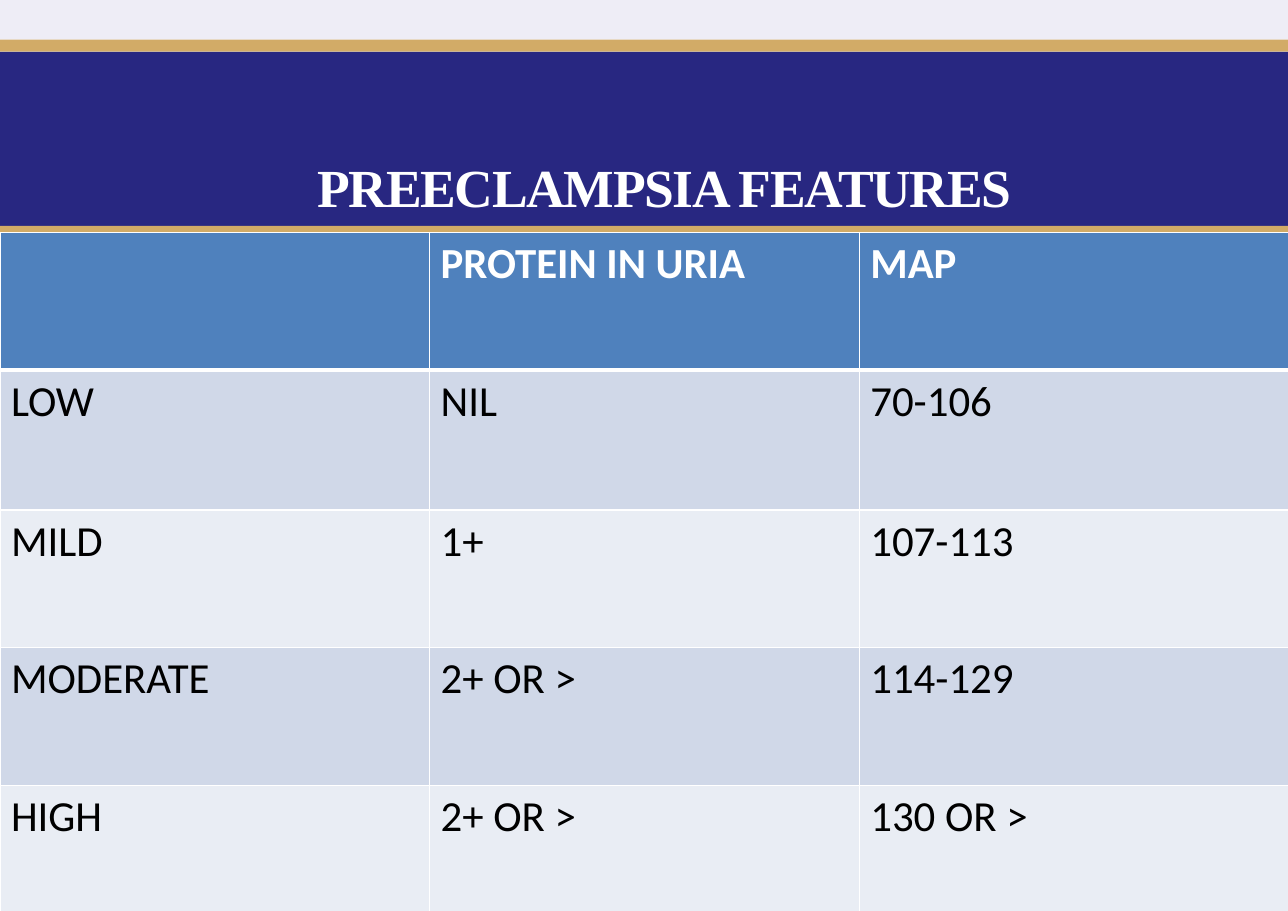
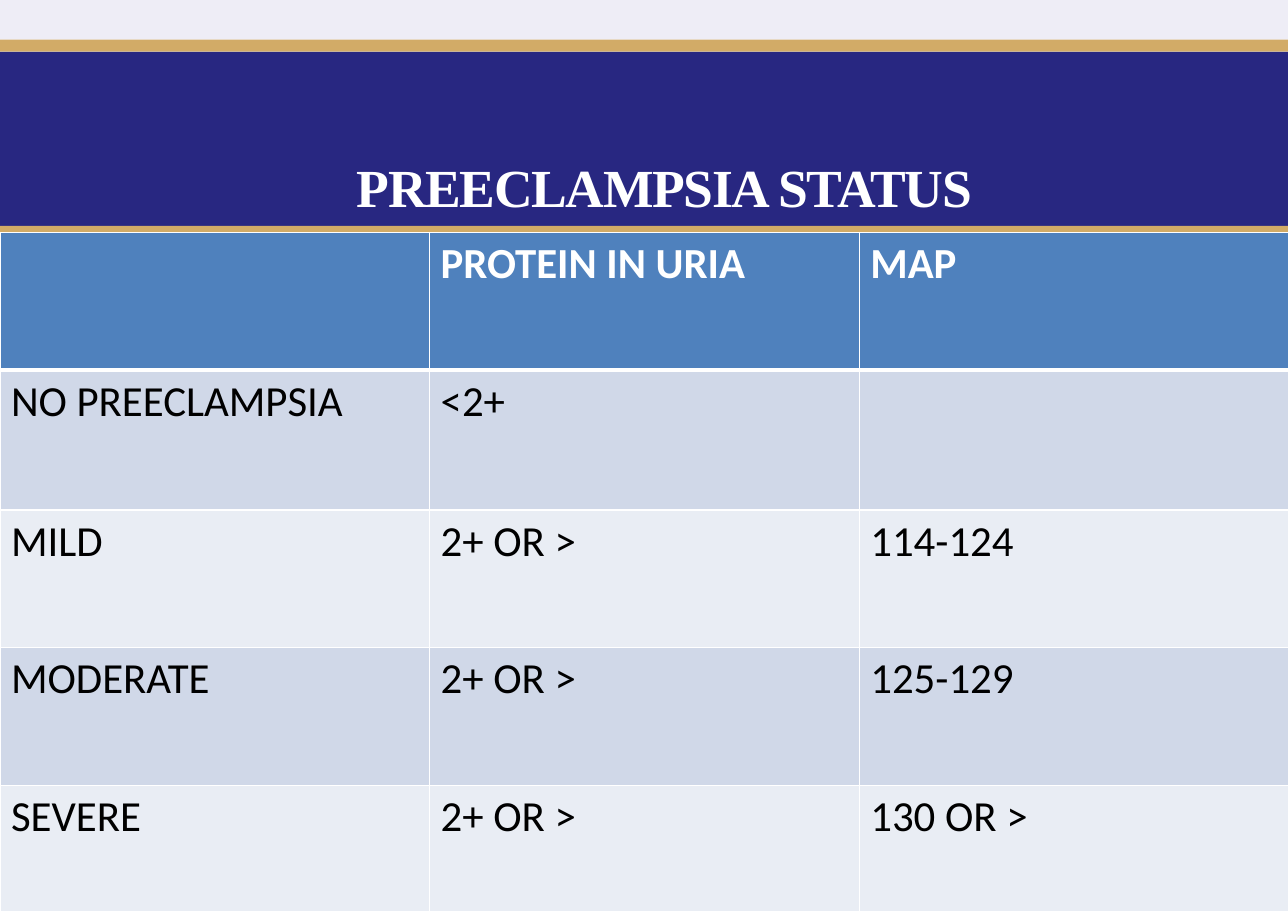
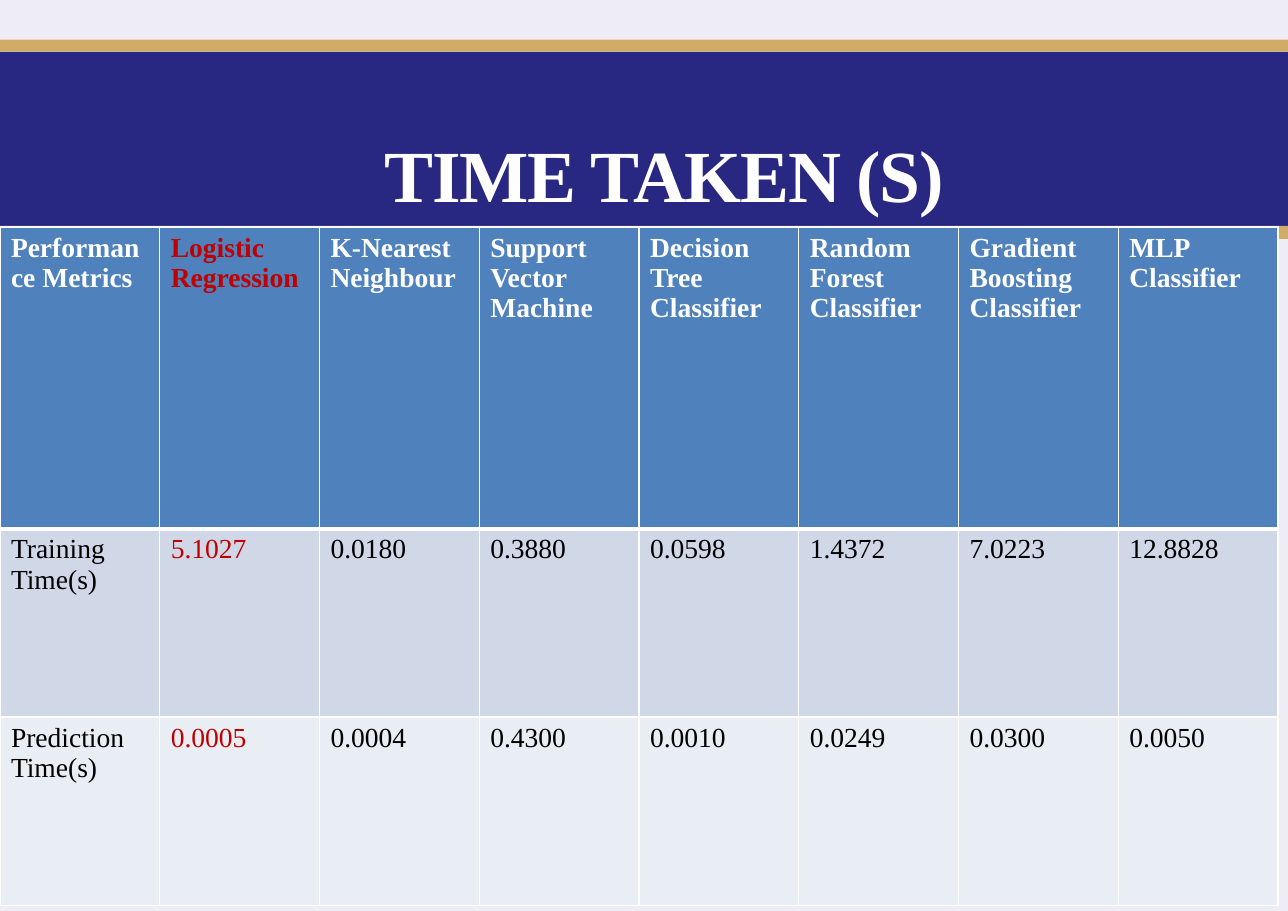
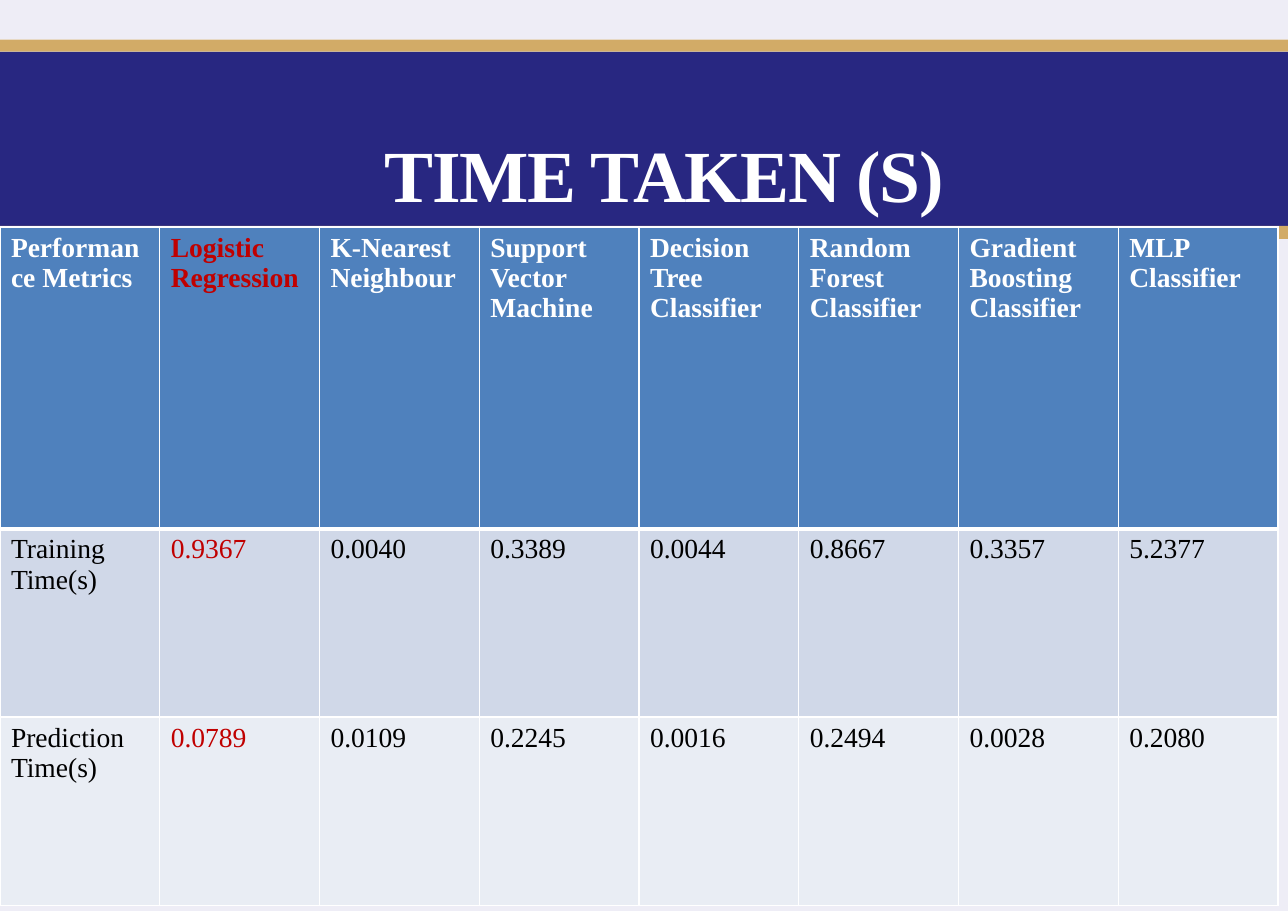
from dataclasses import dataclass
from itertools import accumulate

from lxml.etree import SubElement
from pptx import Presentation
from pptx.dml.color import RGBColor
from pptx.enum.shapes import MSO_SHAPE
from pptx.enum.text import MSO_ANCHOR, MSO_AUTO_SIZE, PP_ALIGN
from pptx.oxml.ns import qn
from pptx.util import Inches, Pt

WIDTH, HEIGHT = 11.69, 8.27


@dataclass(frozen=True)
class Theme:
    pale: str = "EEEDF6"
    gold: str = "D2AB67"
    navy: str = "282781"
    white: str = "FFFFFF"
    black: str = "000000"
    red: str = "C00000"
    header: str = "4F81BD"
    stripes: tuple = ("D0D8E8", "E9EDF4")
    title_font: str = "Times New Roman"
    title_spacing: float = -0.9
    rule: float = 1
    header_rule: float = 3


THEME = Theme()

# Band colour and lower edge, from the top of the slide down
BANDS = [
    (THEME.pale, 0.36),
    (THEME.gold, 0.47),
    (THEME.navy, 2.05),
    (THEME.gold, 2.17),
    (THEME.pale, HEIGHT),
]

# The two kinds of slide: title, table grid and type
CLINICAL = dict(
    title_top=1.38, title_height=0.6, title_size=35,
    table_top=2.11, column=3.9, rows=[1.25, 1.27, 1.25, 1.25, 1.25],
    font="Calibri", size=28, marked_column=None,
)
TIMING = dict(
    title_top=1.15, title_height=0.82, title_size=48,
    table_top=2.06, column=1.45, rows=[2.74, 1.71, 1.71],
    font="Times New Roman", size=18, marked_column=1,
)

# Content
SIGNS = ["", "PROTEIN IN URIA", "MAP"]
MODELS = [
    "Performance Metrics", "Logistic Regression", "K-Nearest Neighbour",
    "Support Vector Machine", "Decision Tree Classifier",
    "Random Forest Classifier", "Gradient Boosting Classifier",
    "MLP Classifier",
]
SLIDES = [
    ("PREECLAMPSIA FEATURES", CLINICAL, [
        SIGNS,
        ["LOW", "NIL", "70-106"],
        ["MILD", "1+", "107-113"],
        ["MODERATE", "2+ OR >", "114-129"],
        ["HIGH", "2+ OR >", "130 OR >"],
    ]),
    ("PREECLAMPSIA STATUS", CLINICAL, [
        SIGNS,
        ["NO PREECLAMPSIA", "<2+", ""],
        ["MILD", "2+ OR >", "114-124"],
        ["MODERATE", "2+ OR >", "125-129"],
        ["SEVERE", "2+ OR >", "130 OR >"],
    ]),
    ("TIME TAKEN (S)", TIMING, [
        MODELS,
        ["Training Time(s)", "5.1027", "0.0180", "0.3880", "0.0598",
         "1.4372", "7.0223", "12.8828"],
        ["Prediction Time(s)", "0.0005", "0.0004", "0.4300", "0.0010",
         "0.0249", "0.0300", "0.0050"],
    ]),
    ("TIME TAKEN (S)", TIMING, [
        MODELS,
        ["Training Time(s)", "0.9367", "0.0040", "0.3389", "0.0044",
         "0.8667", "0.3357", "5.2377"],
        ["Prediction Time(s)", "0.0789", "0.0109", "0.2245", "0.0016",
         "0.2494", "0.0028", "0.2080"],
    ]),
]


def paint(fill, colour):
    fill.solid()
    fill.fore_color.rgb = RGBColor.from_string(colour)


def add_run(paragraph, text, font, size, colour, bold):
    run = paragraph.add_run()
    run.text = text
    run.font.name, run.font.size, run.font.bold = font, Pt(size), bold
    run.font.color.rgb = RGBColor.from_string(colour)
    return run


def add_bands(slide):
    """Draw the bands, then hand them to the layout so all slides share them."""
    top = 0
    for position, (colour, bottom) in enumerate(BANDS, start=2):
        band = slide.shapes.add_shape(
            MSO_SHAPE.RECTANGLE, 0, Inches(top),
            Inches(WIDTH), Inches(bottom - top))
        band.shadow.inherit = False
        band.line.fill.background()
        paint(band.fill, colour)
        slide.slide_layout.shapes.element.insert(position, band.element)
        top = bottom


def set_title(slide, text, style):
    title = slide.shapes.title
    title.left, title.top = 0, Inches(style["title_top"])
    title.width, title.height = Inches(12.06), Inches(style["title_height"])
    frame = title.text_frame
    frame.margin_left = frame.margin_right = frame.margin_bottom = 0
    frame.margin_top = Inches(0.01)
    frame.word_wrap = True
    frame.auto_size = MSO_AUTO_SIZE.SHAPE_TO_FIT_TEXT
    frame.vertical_anchor = MSO_ANCHOR.BOTTOM
    heading = frame.paragraphs[0]
    heading.alignment = PP_ALIGN.CENTER
    run = add_run(heading, text, THEME.title_font, style["title_size"],
                  THEME.white, True)
    run._r.get_or_add_rPr().set("spc", str(int(THEME.title_spacing * 100)))


def set_borders(cell, top, bottom):
    properties = cell._tc.get_or_add_tcPr()
    widths = dict(lnL=THEME.rule, lnR=THEME.rule, lnT=top, lnB=bottom)
    for side, width in widths.items():
        line = SubElement(properties, qn(f"a:{side}"), w=str(Pt(width)))
        fill = SubElement(line, qn("a:solidFill"))
        SubElement(fill, qn("a:srgbClr"), val=THEME.white)


def add_grid(slide, content, style):
    heights, columns = style["rows"], len(content[0])
    table = slide.shapes.add_table(
        len(content), columns, 0, Inches(style["table_top"]),
        Inches(style["column"] * columns), Inches(sum(heights))).table
    table.horz_banding = False
    for column in table.columns:
        column.width = Inches(style["column"])
    for row, height in zip(table.rows, heights):
        row.height = Inches(height)

    # Rule above each row, and one below the last
    rules = [THEME.rule, THEME.header_rule] + [THEME.rule] * (len(content) - 1)
    for r, texts in enumerate(content):
        is_header = r == 0
        row_fill = THEME.header if is_header else THEME.stripes[(r - 1) % 2]
        row_colour = THEME.white if is_header else THEME.black
        for c, text in enumerate(texts):
            cell = table.cell(r, c)
            set_borders(cell, rules[r], rules[r + 1])
            paint(cell.fill, row_fill)
            if text:
                colour = THEME.red if c == style["marked_column"] else row_colour
                add_run(cell.text_frame.paragraphs[0], text, style["font"],
                        style["size"], colour, is_header)


def main():
    deck = Presentation()
    deck.slide_width, deck.slide_height = Inches(WIDTH), Inches(HEIGHT)
    title_only = deck.slide_layouts[5]
    for number, (title, style, content) in enumerate(SLIDES):
        slide = deck.slides.add_slide(title_only)
        if number == 0:
            add_bands(slide)
        set_title(slide, title, style)
        add_grid(slide, content, style)
    deck.save("out.pptx")


if __name__ == "__main__":
    main()
